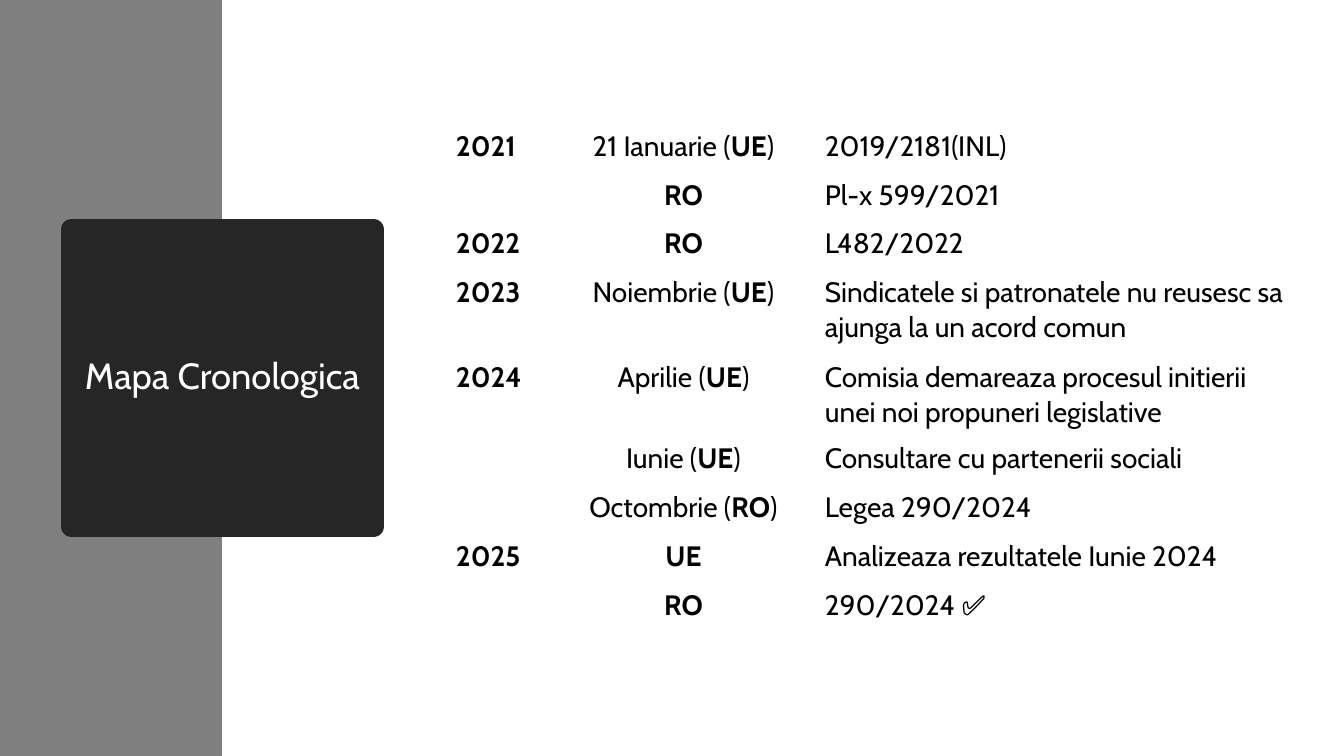
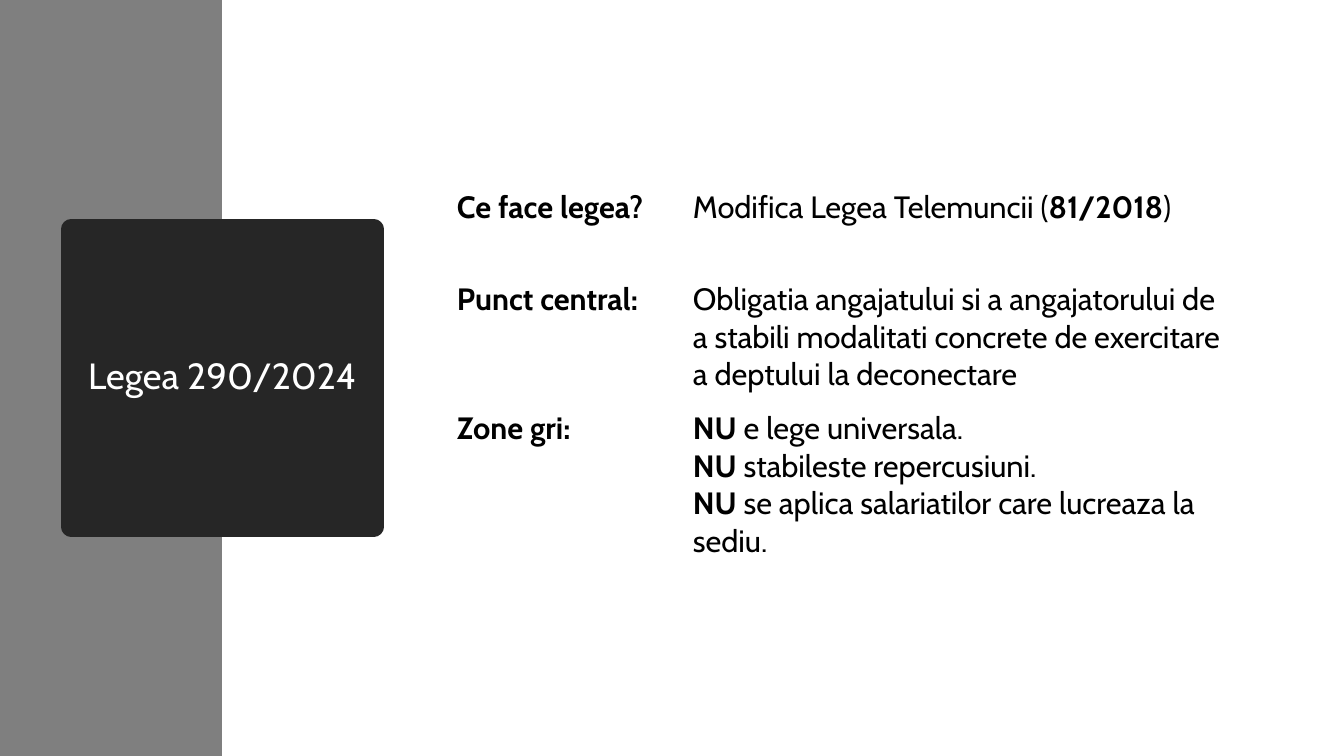
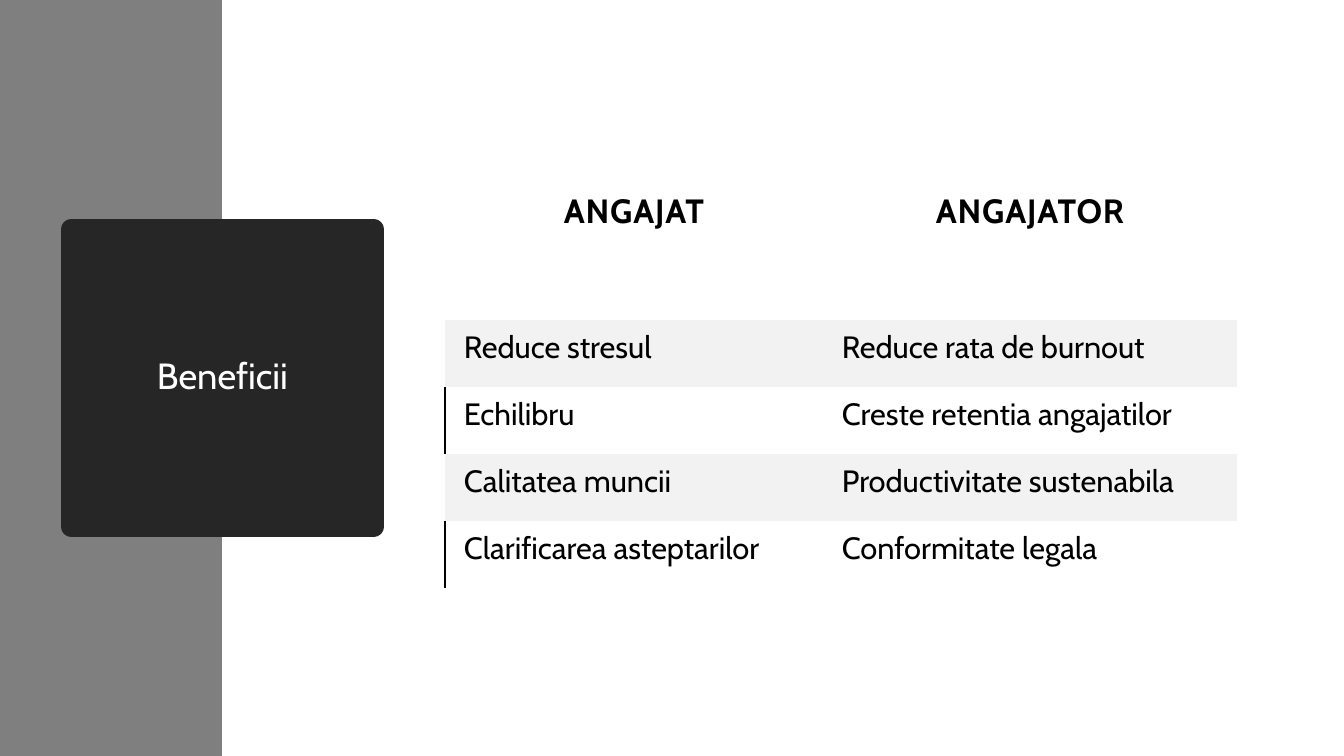
"""Build three slides on the right to disconnect, each with a title tile and a table."""
from lxml.etree import SubElement
from pptx import Presentation
from pptx.dml.color import RGBColor
from pptx.enum.shapes import MSO_SHAPE
from pptx.enum.text import MSO_ANCHOR, MSO_AUTO_SIZE, PP_ALIGN
from pptx.oxml import parse_xml
from pptx.oxml.ns import nsdecls, qn
from pptx.util import Pt

PX = 914400 / 100.8
SLIDE_WIDTH, SLIDE_HEIGHT = 1344, 756
BAND_WIDTH = 222
TILE = (71, 229, 303, 298)
TABLE_LEFT = 445
FONT = "Cabin"
GREY, DARK, WHITE, BLACK, PALE = "7F7F7F", "262626", "FFFFFF", "000000", "F2F2F2"
NO_STYLE_NO_GRID = "{2D5ABB26-0587-4C30-8999-92F81FD0307C}"

PAGES = [
    {
        "title": "Mapa Cronologica",
        "top": 123,
        "columns": [108, 261, 483],
        "heights": [49, 49, 49, 85, 79, 49, 49, 49, 49],
        "size": 20,
        "margins": (11, 6, 11, 6),
        "centred_column": 1,
        "rows": [
            ("*2021*", "21 Ianuarie (*UE*)", "2019/2181(INL)"),
            ("", "*RO*", "Pl-x 599/2021"),
            ("*2022*", "*RO*", "L482/2022"),
            ("*2023*", "Noiembrie (*UE*)",
             "Sindicatele si patronatele nu reusesc sa ajunga la un acord comun"),
            ("*2024*", "Aprilie (*UE*)",
             "Comisia demareaza procesul initierii unei noi propuneri legislative"),
            ("", "Iunie (*UE*)", "Consultare cu partenerii sociali"),
            ("", "Octombrie (*RO*)", "Legea 290/2024"),
            ("*2025*", "*UE*", "Analizeaza rezultatele Iunie 2024"),
            ("", "*RO*", "290/2024 ✅"),
        ],
    },
    {
        "title": "Legea 290/2024",
        "top": 183,
        "columns": [236, 556],
        "heights": [92, 129, 166],
        "size": 22,
        "margins": (12, 6, 12, 6),
        "rows": [
            ("*Ce face legea?*", "Modifica Legea Telemuncii (*81/2018*)"),
            ("*Punct central:*",
             "Obligatia angajatului si a angajatorului de a stabili modalitati "
             "concrete de exercitare a deptului la deconectare"),
            ("*Zone gri:*",
             "*NU* e lege universala.\n*NU *stabileste repercusiuni.\n"
             "*NU* se aplica salariatilor care lucreaza la sediu."),
        ],
    },
    {
        "title": "Beneficii",
        "top": 177,
        "columns": [378, 414],
        "heights": [68, 74, 67, 67, 67, 67],
        "size": 22,
        "margins": (19, 9, 19, 14),
        "header_margins": (19, 14, 19, 14),
        "header_size": 24,
        "rows": [
            ("*ANGAJAT*", "*ANGAJATOR*"),
            ("", ""),
            ("Reduce stresul", "Reduce rata de burnout"),
            ("Echilibru", "Creste retentia angajatilor"),
            ("Calitatea muncii", "Productivitate sustenabila"),
            ("Clarificarea asteptarilor", "Conformitate legala"),
        ],
    },
]


def px(length):
    return round(length * PX)


def colour(value):
    return RGBColor.from_string(value)


def style_run(span, size, value, bold=False):
    span.font.name = FONT
    span.font.size = Pt(size)
    span.font.bold = bold
    span.font.color.rgb = colour(value)


def paint(shape, value):
    shape.fill.solid()
    shape.fill.fore_color.rgb = colour(value)


def add_page(deck, title_text):
    page = deck.slides.add_slide(deck.slide_layouts[5])
    title = page.shapes.title
    title.left, title.top, title.width, title.height = map(px, TILE)
    paint(title, DARK)
    title.line.color.rgb = colour(DARK)
    title.line.width = Pt(13.75)
    SubElement(title.element.spPr.find(qn("a:ln")), qn("a:round"))

    frame = title.text_frame
    frame.text = title_text
    frame.word_wrap = True
    frame.auto_size = MSO_AUTO_SIZE.NONE
    frame.vertical_anchor = MSO_ANCHOR.MIDDLE
    para = frame.paragraphs[0]
    para.alignment = PP_ALIGN.CENTER
    para.line_spacing = 0.9
    style_run(para.runs[0], 26, WHITE)

    band = page.shapes.add_shape(
        MSO_SHAPE.RECTANGLE, 0, 0, px(BAND_WIDTH), px(SLIDE_HEIGHT))
    band.shadow.inherit = False
    paint(band, GREY)
    band.line.fill.background()
    title.element.addprevious(band.element)
    return page


def fill_cell(cell, text, size, margins, centred):
    cell.margin_left, cell.margin_top, cell.margin_right, cell.margin_bottom = map(px, margins)
    for number, line in enumerate(text.split("\n")):
        frame = cell.text_frame
        para = frame.add_paragraph() if number else frame.paragraphs[0]
        para.alignment = PP_ALIGN.CENTER if centred else PP_ALIGN.LEFT
        for position, piece in enumerate(line.split("*")):
            if piece:
                span = para.add_run()
                span.text = piece
                style_run(span, size, BLACK, bold=position % 2 == 1)


def style_header(cell):
    cell.vertical_anchor = MSO_ANCHOR.BOTTOM
    for span in cell.text_frame.paragraphs[0].runs:
        span.font._element.set("spc", "60")


def add_left_border(cell):
    border = parse_xml(
        f'<a:lnL {nsdecls("a")} w="12700"><a:solidFill>'
        f'<a:srgbClr val="{BLACK}"/></a:solidFill></a:lnL>')
    cell._tc.get_or_add_tcPr().insert(0, border)


def add_grid(page, content):
    columns, heights, rows = content["columns"], content["heights"], content["rows"]
    holder = page.shapes.add_table(
        len(rows), len(columns), px(TABLE_LEFT), px(content["top"]),
        px(sum(columns)), px(sum(heights)))
    holder.element.xpath(".//a:tableStyleId")[0].text = NO_STYLE_NO_GRID
    table = holder.table
    table.first_row = table.horz_banding = False
    for column, width in zip(table.columns, columns):
        column.width = px(width)
    for row, height in zip(table.rows, heights):
        row.height = px(height)

    has_header = "header_size" in content
    for row_number, texts in enumerate(rows):
        is_header = has_header and row_number == 0
        prefix = "header_" if is_header else ""
        size, margins = content[prefix + "size"], content[prefix + "margins"]
        for column_number, text in enumerate(texts):
            cell = table.cell(row_number, column_number)
            centred = is_header or column_number == content.get("centred_column")
            fill_cell(cell, text, size, margins, centred)
            if is_header:
                style_header(cell)
            if has_header and row_number >= 2 and row_number % 2 == 0:
                paint(cell, PALE)
            else:
                cell.fill.background()
        if has_header and row_number > 2 and row_number % 2 == 1:
            add_left_border(table.cell(row_number, 0))


def main():
    deck = Presentation()
    deck.slide_width, deck.slide_height = px(SLIDE_WIDTH), px(SLIDE_HEIGHT)
    for content in PAGES:
        page = add_page(deck, content["title"])
        add_grid(page, content)
    deck.save("out.pptx")


if __name__ == "__main__":
    main()
